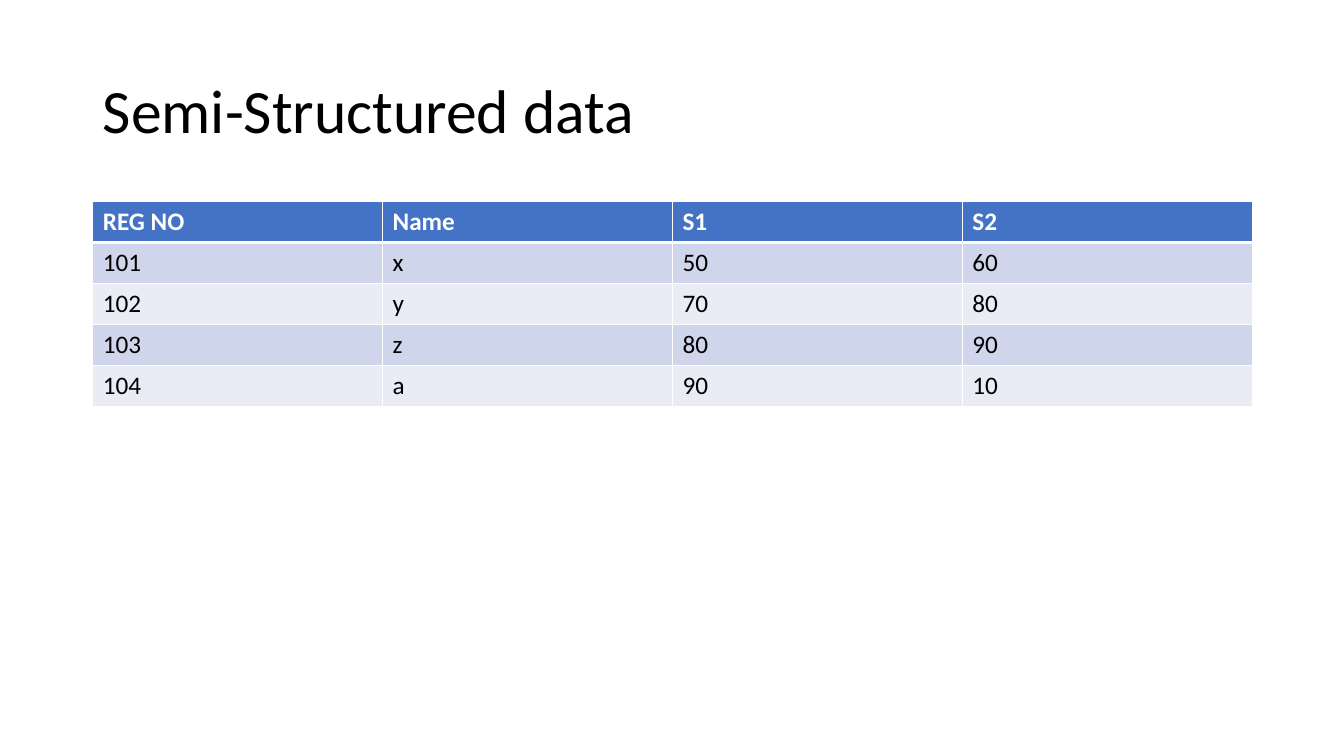
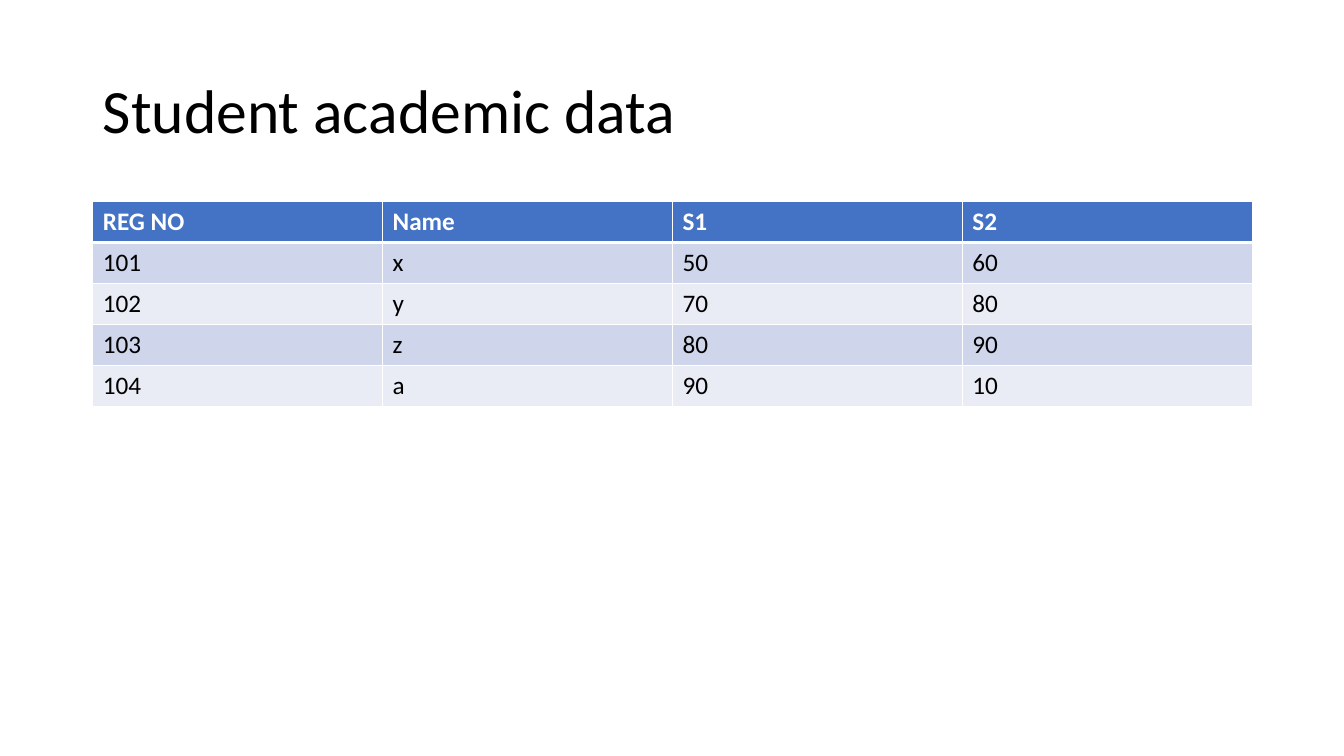
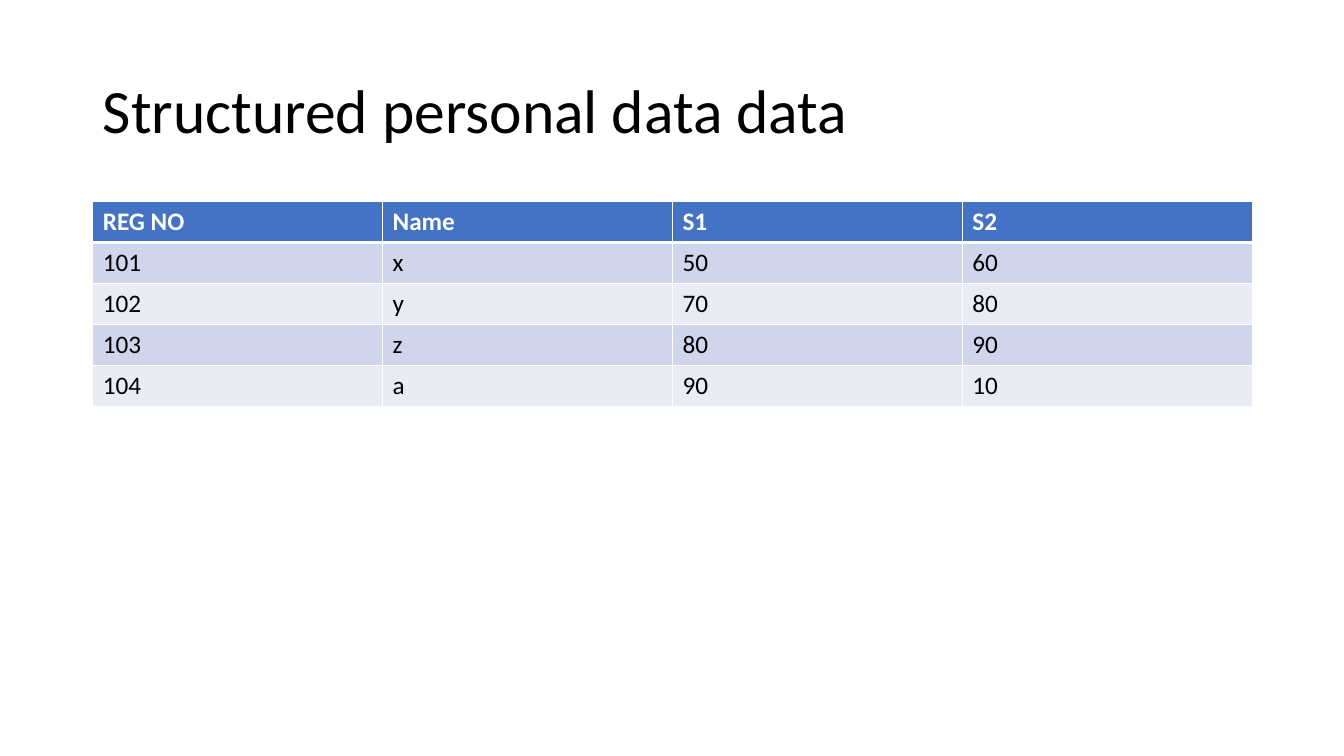
from lxml import etree
from pptx import Presentation
from pptx.dml.color import RGBColor
from pptx.enum.text import MSO_ANCHOR, MSO_AUTO_SIZE, PP_ALIGN
from pptx.oxml.ns import qn
from pptx.util import Inches, Pt

LEFT = PP_ALIGN.LEFT
MIDDLE = MSO_ANCHOR.MIDDLE
NO_FIT = MSO_AUTO_SIZE.NONE

WHITE, BLACK = "FFFFFF", "000000"
HEAD, BANDS = "4472C4", ("CFD5EA", "E9EBF5")
TITLE_FONT = {"name": "Calibri", "size": Pt(44), "bold": False}
CELL_FONT = {"name": "Calibri", "size": Pt(18)}
THIN, THICK = Pt(1), Pt(3)

TITLES = ("Semi-Structured data", "Student academic data",
          "Structured personal data data")
MARKS = (
    ("REG NO", "Name", "S1", "S2"),
    ("101", "x", "50", "60"),
    ("102", "y", "70", "80"),
    ("103", "z", "80", "90"),
    ("104", "a", "90", "10"),
)


def style(font, color, look):
    """Give a font its hex colour and the format values in look."""
    font.color.rgb = RGBColor.from_string(color)
    for name, value in look.items():
        setattr(font, name, value)


def edge(cell, sides):
    """Draw white cell borders; sides maps a side letter to a width."""
    props = cell._tc.get_or_add_tcPr()
    for side, width in sides.items():
        line = etree.SubElement(props, qn("a:ln" + side), w=str(width))
        fill = etree.SubElement(line, qn("a:solidFill"))
        etree.SubElement(fill, qn("a:srgbClr"), val=WHITE)


deck = Presentation()
deck.slide_width, deck.slide_height = Inches(13.33), Inches(7.5)
margin, wide = Inches(0.92), Inches(11.5)

# Shared title place and style
layout = deck.slide_layouts[5]
place = {"left": margin, "top": Inches(0.4),
         "width": wide, "height": Inches(1.45)}
for name, value in place.items():
    setattr(layout.placeholders[0], name, value)
frame_look = {"vertical_anchor": MIDDLE, "auto_size": NO_FIT,
              "word_wrap": True}

for title in TITLES:
    slide = deck.slides.add_slide(layout)
    frame = slide.shapes.title.text_frame
    frame.text = title
    for name, value in frame_look.items():
        setattr(frame, name, value)
    para = frame.paragraphs[0]
    para.alignment, para.line_spacing = LEFT, 0.9
    style(para.runs[0].font, BLACK, TITLE_FONT)

    # Marks table: header row, then banded rows
    grid = slide.shapes.add_table(len(MARKS), len(MARKS[0]), margin,
                                  Inches(2), wide, Inches(2.03)).table
    for r, row in enumerate(MARKS):
        head = r == 0
        shade = HEAD if head else BANDS[(r - 1) % 2]
        sides = {"L": THIN, "R": THIN, "T": THICK if r == 1 else THIN,
                 "B": THICK if head else THIN}
        for c, text in enumerate(row):
            cell = grid.cell(r, c)
            cell.text = text
            edge(cell, sides)
            cell.fill.solid()
            cell.fill.fore_color.rgb = RGBColor.from_string(shade)
            font = cell.text_frame.paragraphs[0].runs[0].font
            style(font, WHITE if head else BLACK, CELL_FONT | {"bold": head})

deck.save("out.pptx")
